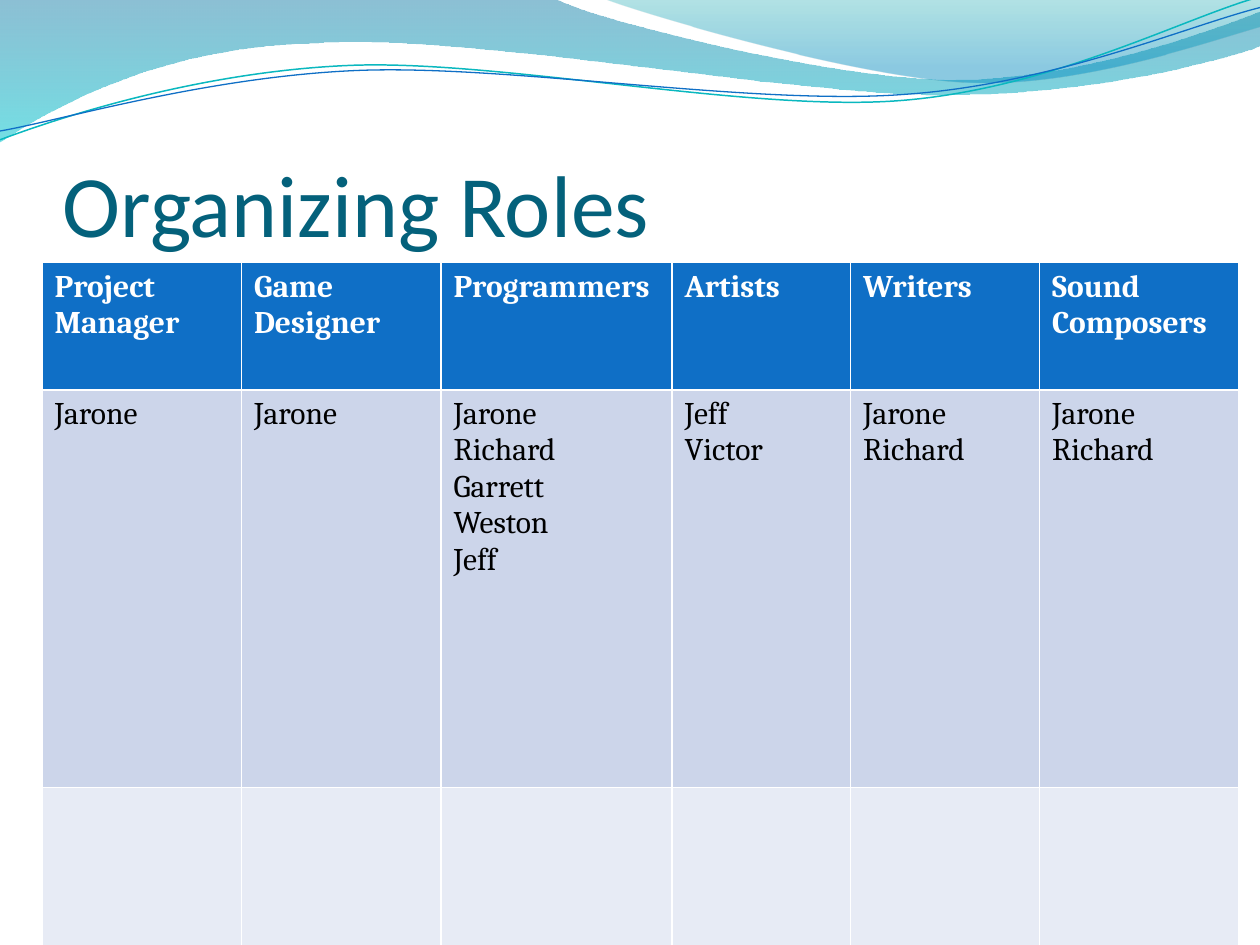
import pptx
import pptx.util
import pptx.dml.color
import pptx.enum.text
import pptx.oxml
import pptx.oxml.ns

COLS, ROWS = 10, 7.5
WHITE, BLACK, BLUE = "FFFFFF", "000000", "0F6FC6"
SPACE = pptx.oxml.ns.nsdecls("a")
qn = pptx.oxml.ns.qn


def unit(num):
    return pptx.util.Inches(num)


def tint(code):
    return pptx.dml.color.RGBColor.from_string(code)


def write(para, text, size, face, color, bold=False):
    run = para.add_run()
    run.text = text
    font = run.font
    font.size, font.name, font.bold = pptx.util.Pt(size), face, bold
    font.color.rgb = tint(color)


def trace(slide, box, path, close):
    left, top, wide, high = box

    def place(x, y):
        return unit(left + x * wide / COLS), unit(top + y * high / ROWS)

    spots = [place(*piece[-2:]) for piece in path]
    form = slide.shapes.build_freeform(*spots[0])
    form.add_line_segments(spots[1:], close=close)
    shape = form.convert_to_shape()
    shape.shadow.inherit = False
    lines = list(shape.element.spPr.iter(qn("a:lnTo")))
    for line, piece in zip(lines, path[1:]):
        if len(piece) == 6:
            dots = [place(*dot) for dot in zip(piece[::2], piece[1::2])]
            marks = "".join(f'<a:pt x="{x - shape.left}" y="{y - shape.top}"/>'
                            for x, y in dots)
            line.getparent().replace(line, pptx.oxml.parse_xml(
                f"<a:cubicBezTo {SPACE}>{marks}</a:cubicBezTo>"))
    return shape


def fade(shape, stops):
    shape.line.fill.background()
    shape.fill.gradient()
    shape.fill.gradient_angle = 270
    for stop, (place, color, alpha) in zip(shape.fill.gradient_stops, stops):
        stop.position = place
        stop.color.rgb = tint(color)
    for node, (place, color, alpha) in zip(shape.element.spPr.iter(qn("a:srgbClr")), stops):
        node.append(pptx.oxml.parse_xml(f'<a:alpha {SPACE} val="{alpha * 1000}"/>'))


def waves(slide, box):
    bands = [
        ([(0, 0), (4.4, -0.01), (4.76, 0.17, 6.64, 0.63, 7.58, 0.63),
          (8.53, 0.63, 9.58, 0.26, 10, 0.09), (10.01, 0.36),
          (9.83, 0.44, 8.7, 0.76, 7.46, 0.75), (6.22, 0.75, 3.82, 0.28, 2.57, 0.34),
          (1.29, 0.36, 0.46, 0.83, -0.01, 1.13)],
         [(0, "0074A1", 45), (1, "00C6CF", 55)]),
        ([(4.79, -0.01), (5.09, 0.11, 6.82, 0.62, 7.69, 0.65),
          (8.56, 0.69, 9.61, 0.32, 10, 0.21), (10, 0)],
         [(0, "00A1A9", 30), (0.8, "008BBF", 45)]),
    ]
    for path, stops in bands:
        fade(trace(slide, box, path, True), stops)
    lines = [
        ([(0, 1.11), (0.48, 0.93, 1.58, 0.57, 2.77, 0.52),
          (3.95, 0.47, 5.93, 0.89, 7.13, 0.8), (8.33, 0.71, 9.38, 0.15, 9.98, -0.02)],
         "0AB8BF", 0.85),
        ([(0, 1.04), (0.47, 0.96, 1.64, 0.61, 2.83, 0.56),
          (4.03, 0.51, 5.97, 0.84, 7.17, 0.75), (8.36, 0.67, 9.41, 0.21, 10, 0.06)],
         BLUE, 0.75),
    ]
    for path, color, width in lines:
        shape = trace(slide, box, path, False)
        shape.fill.background()
        shape.line.color.rgb = tint(color)
        shape.line.width = pptx.util.Pt(width)


def title(slide, box, text):
    frame = slide.shapes.add_textbox(*map(unit, box)).text_frame
    frame.word_wrap = True
    frame.margin_left = frame.margin_right = frame.margin_bottom = 0
    frame.vertical_anchor = pptx.enum.text.MSO_ANCHOR.BOTTOM
    write(frame.paragraphs[0], text, 50, "Calibri", "04617B")


def roles(slide, box, heads, names):
    shares, highs = (19, 19, 22, 17, 18, 19), (1.01, 3.15, 3.15)
    table = slide.shapes.add_table(len(highs), len(shares), *map(unit, box)).table
    for col, share in zip(table.columns, shares):
        col.width = unit(box[2] * share / sum(shares))
    for row, high in zip(table.rows, highs):
        row.height = unit(box[3] * high / sum(highs))
    looks = [(BLUE, WHITE, True), ("CCD5EA", BLACK, False), ("E7EBF5", BLACK, False)]
    texts = [[[head] for head in heads], names, [[] for head in heads]]
    for row, line, (back, ink, bold) in zip(table.rows, texts, looks):
        for cell, words in zip(row.cells, line):
            cell.fill.solid()
            cell.fill.fore_color.rgb = tint(back)
            frame = cell.text_frame
            for spot, word in enumerate(words):
                para = frame.add_paragraph() if spot else frame.paragraphs[0]
                write(para, word, 18, "Cambria", ink, bold)


deck = pptx.Presentation()
deck.slide_width, deck.slide_height = unit(COLS), unit(ROWS)
page = deck.slides.add_slide(deck.slide_layouts[6])
waves(page, (0, 0, COLS, ROWS))
title(page, (0.5, 0.77, 9, 1.25), "Organizing Roles")
roles(page, (COLS / 30, ROWS * 5 / 18, 9.5, 7.32),
      ["Project Manager", "Game Designer", "Programmers", "Artists", "Writers",
       "Sound Composers"],
      [["Jarone"], ["Jarone"], ["Jarone ", "Richard", "Garrett", "Weston", "Jeff"],
       ["Jeff", "Victor"], ["Jarone", "Richard"], ["Jarone", "Richard"]])
deck.save("out.pptx")
